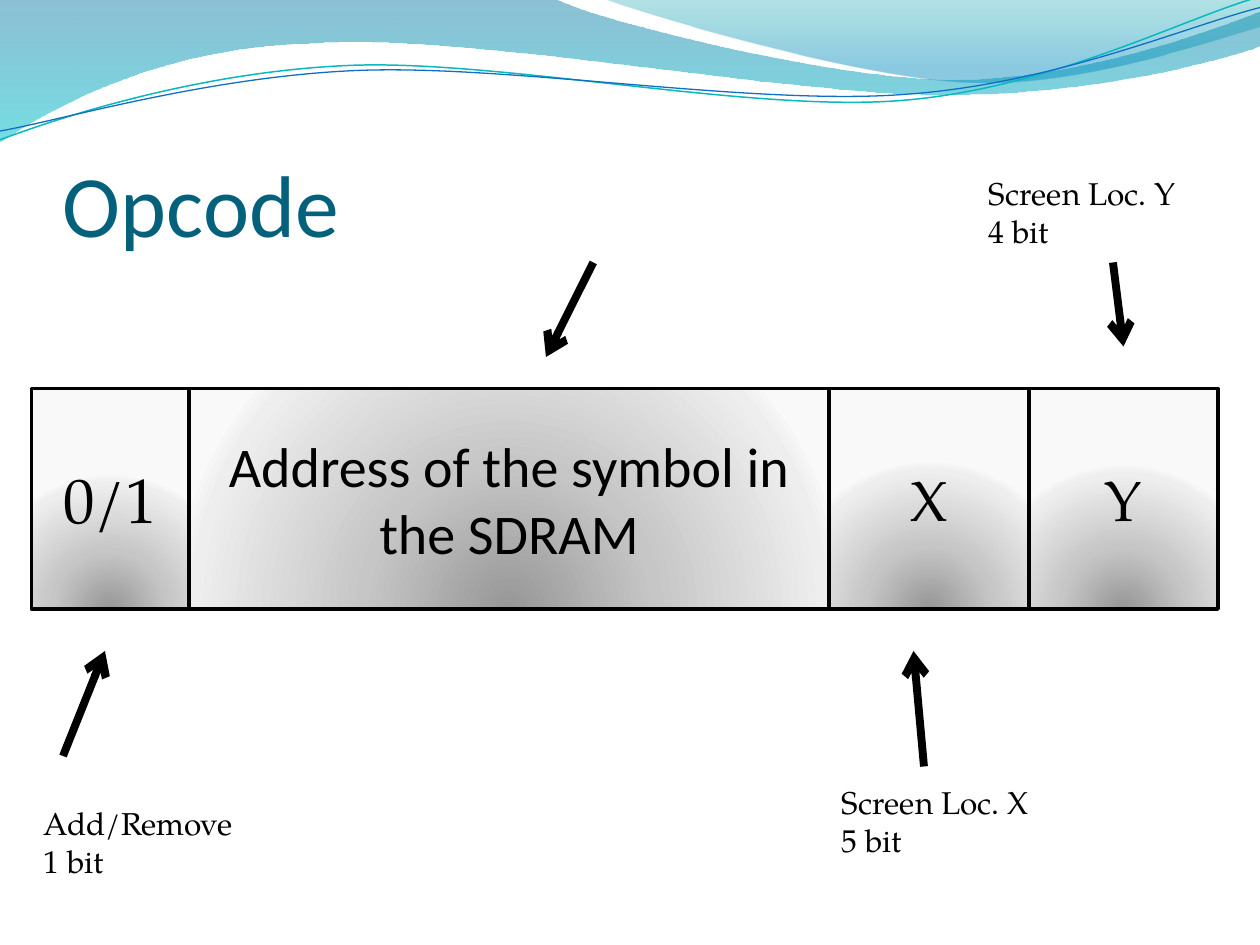
from dataclasses import dataclass

from lxml import etree
from pptx import Presentation
from pptx.dml.color import RGBColor
from pptx.enum.shapes import MSO_CONNECTOR, MSO_SHAPE
from pptx.enum.text import MSO_ANCHOR, PP_ALIGN
from pptx.oxml import parse_xml
from pptx.oxml.ns import nsdecls, qn
from pptx.util import Inches, Pt

RECTANGLE = MSO_SHAPE.RECTANGLE
STRAIGHT = MSO_CONNECTOR.STRAIGHT
MIDDLE, BOTTOM = MSO_ANCHOR.MIDDLE, MSO_ANCHOR.BOTTOM
CENTER = PP_ALIGN.CENTER


@dataclass(frozen=True)
class Theme:
    sans: str = "Calibri"
    serif: str = "TeX Gyre Pagella"
    ink: RGBColor = RGBColor(0, 0, 0)
    title: RGBColor = RGBColor.from_string("04617B")
    title_size: int = 50
    flag_size: int = 36
    field_size: int = 32
    label_size: int = 18
    field_stops: tuple = ((0, "979797", 100), (43, "C6C6C6", 100),
                          (93, "EEEEEE", 100), (100, "F9F9F9", 100))
    deep_wave: tuple = ((0, "0074A1", 45), (100, "00C6CF", 55))
    pale_wave: tuple = ((0, "00A1A9", 30), (80, "008BBF", 45))
    teal_line: RGBColor = RGBColor.from_string("0AB8BF")
    blue_line: RGBColor = RGBColor.from_string("0F6FC6")


theme = Theme()
deck = Presentation()
deck.slide_width, deck.slide_height = Inches(10), Inches(7.5)
page = deck.slides.add_slide(deck.slide_layouts[6])
UNIT = deck.slide_width / 120  # the page is a grid of 120 columns and 90 rows


def grid(*cells):
    return [round(cell * UNIT) for cell in cells]


def set_gradient(shape, stops, direction):
    shape.fill.background()
    properties = shape.element.spPr
    marks = "".join(
        f'<a:gs pos="{place * 1000}"><a:srgbClr val="{color}">'
        f'<a:alpha val="{alpha * 1000}"/></a:srgbClr></a:gs>'
        for place, color, alpha in stops)
    properties.replace(properties.find(qn("a:noFill")), parse_xml(
        f'<a:gradFill {nsdecls("a")} rotWithShape="1"><a:gsLst>{marks}</a:gsLst>'
        f'{direction}</a:gradFill>'))


# Waves in inches: start, then straight points (2 numbers) or cubic curves (6 numbers);
# a wave has either gradient stops or a line colour and width
waves = [
    ([(0, 0), (4.4, -0.01), (4.76, 0.17, 6.64, 0.63, 7.58, 0.63),
      (8.53, 0.63, 9.58, 0.26, 10, 0.09), (10.01, 0.36),
      (9.83, 0.44, 8.7, 0.76, 7.46, 0.75), (6.22, 0.75, 3.82, 0.28, 2.57, 0.34),
      (1.29, 0.36, 0.46, 0.83, -0.01, 1.13)], theme.deep_wave, None),
    ([(4.79, -0.01), (5.09, 0.11, 6.82, 0.62, 7.69, 0.65),
      (8.56, 0.69, 9.61, 0.32, 10, 0.21), (10, 0)], theme.pale_wave, None),
    ([(0, 1.11), (0.48, 0.93, 1.58, 0.57, 2.77, 0.52),
      (3.95, 0.47, 5.93, 0.89, 7.13, 0.8), (8.33, 0.71, 9.38, 0.15, 9.98, -0.02)],
     None, (theme.teal_line, 0.85)),
    ([(0, 1.04), (0.47, 0.96, 1.64, 0.61, 2.83, 0.56),
      (4.03, 0.51, 5.97, 0.84, 7.17, 0.75), (8.36, 0.67, 9.41, 0.21, 10, 0.06)],
     None, (theme.blue_line, 0.75)),
]
for segments, stops, stroke in waves:
    corners = [(Inches(segment[-2]), Inches(segment[-1])) for segment in segments]
    builder = page.shapes.build_freeform(*corners[0])
    builder.add_line_segments(corners[1:], close=stops is not None)
    wave = builder.convert_to_shape()
    # Bend the straight sides into cubic curves
    for side, segment in zip(list(wave.element.iter(qn("a:lnTo"))), segments[1:]):
        if len(segment) == 6:
            curve = etree.Element(qn("a:cubicBezTo"))
            for x, y in zip(segment[::2], segment[1::2]):
                etree.SubElement(curve, qn("a:pt"), x=str(Inches(x) - wave.left),
                                 y=str(Inches(y) - wave.top))
            side.getparent().replace(side, curve)
    wave.shadow.inherit = False
    if stops:
        set_gradient(wave, stops, '<a:lin ang="5400000" scaled="1"/>')
        wave.line.fill.background()
    else:
        wave.fill.background()
        wave.line.color.rgb, wave.line.width = stroke[0], Pt(stroke[1])

# Title
box = page.shapes.add_textbox(*grid(6, 9.25, 108, 15))
frame = box.text_frame
frame.word_wrap = True
frame.vertical_anchor = BOTTOM
frame.margin_left = frame.margin_right = frame.margin_bottom = 0
para = frame.paragraphs[0]
para.text = "Opcode"
para.font.name, para.font.size = theme.sans, Pt(theme.title_size)
para.font.color.rgb = theme.title

# Opcode fields, side by side: text, columns, font, size
fields = [
    ("0/1", 15, theme.serif, theme.flag_size),
    ("Address of the symbol in the SDRAM", 61, theme.sans, theme.field_size),
    ("X", 19, theme.serif, theme.field_size),
    ("Y", 18, theme.serif, theme.field_size),
]
left = 3
for text, columns, font, size in fields:
    field = page.shapes.add_shape(RECTANGLE, *grid(left, 37, columns, 21))
    left += columns
    set_gradient(field, theme.field_stops,
                 '<a:path path="circle"><a:fillToRect l="50000" t="130000" '
                 'r="50000" b="-30000"/></a:path>')
    field.line.color.rgb, field.line.width = theme.ink, Pt(2.25)
    field.shadow.inherit = False
    field.text_frame.word_wrap = True
    field.text_frame.vertical_anchor = MIDDLE
    para = field.text_frame.paragraphs[0]
    para.text, para.alignment = text, CENTER
    para.font.name, para.font.size = font, Pt(size)
    para.font.color.rgb = theme.ink

# Arrows pointing at the fields
for ends in [(6, 72, 10, 62), (56.5, 25, 52, 34), (88, 73, 87, 62), (106, 25, 107, 33)]:
    arrow = page.shapes.add_connector(STRAIGHT, *grid(*ends))
    arrow.line.color.rgb, arrow.line.width = theme.ink, Pt(4.5)
    outline = arrow.element.spPr.find(qn("a:ln"))
    etree.SubElement(outline, qn("a:tailEnd"), type="arrow")
    etree.SubElement(arrow.element.spPr, qn("a:effectLst"))

# Labels: name, width in bits, left column, top row
for name, bits, column, row in [("Add/Remove", 1, 3, 76), ("Screen Loc. X", 5, 79, 74),
                                ("Screen Loc. Y", 4, 93, 16)]:
    frame = page.shapes.add_textbox(*grid(column, row, 22, 8.5)).text_frame
    frame.word_wrap = True
    frame.text = f"{name}\n{bits} bit"
    for para in frame.paragraphs:
        para.font.name, para.font.size = theme.serif, Pt(theme.label_size)
        para.font.color.rgb = theme.ink

deck.save("out.pptx")
